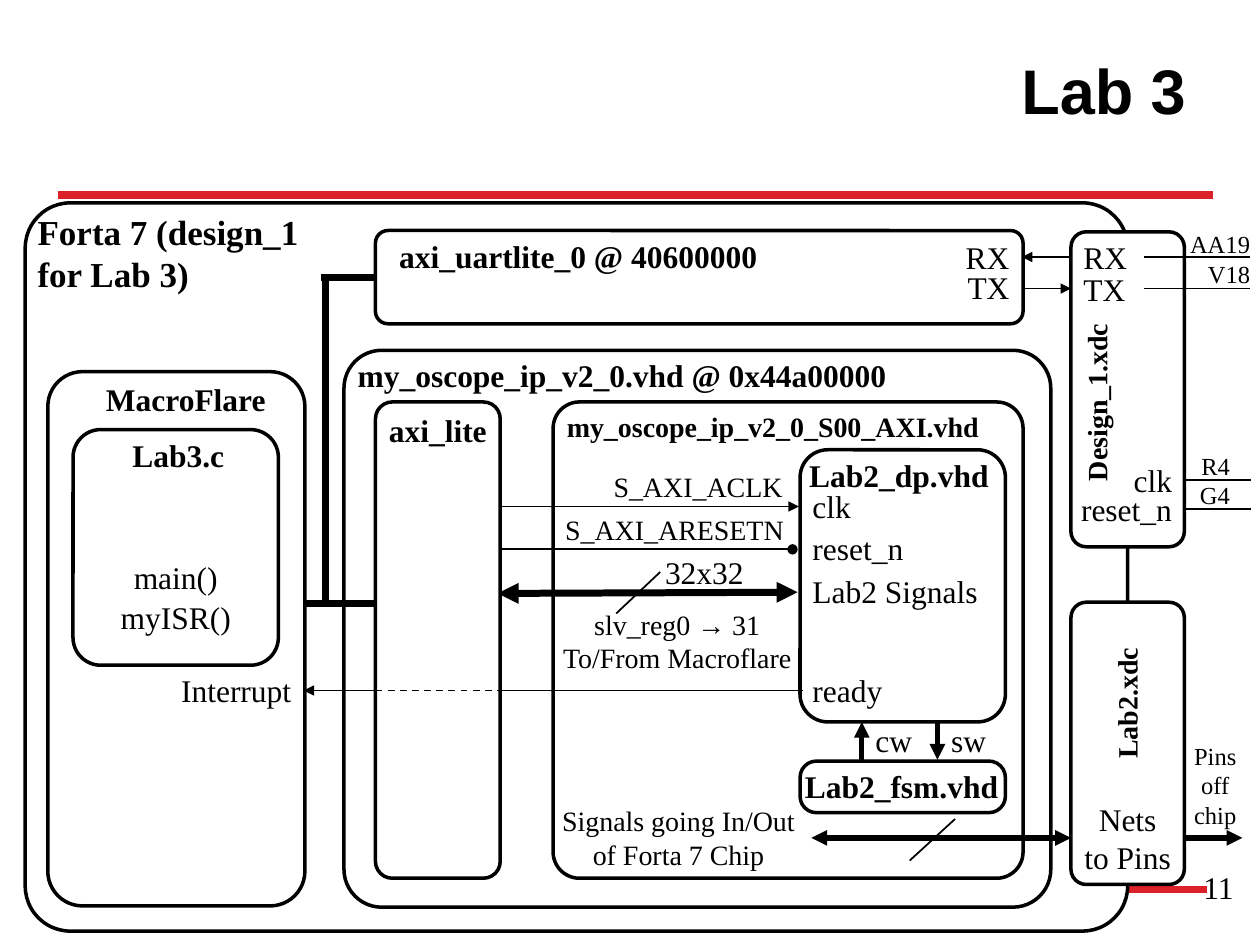
from lxml import etree
from pptx import Presentation
from pptx.dml.color import RGBColor
from pptx.enum import dml, shapes, text
from pptx.oxml.ns import qn
from pptx.util import Inches, Pt

BLACK, WHITE, RED = "000000", "FFFFFF", "DD212B"
SERIF = "Times New Roman"
ALIGN = {"l": text.PP_ALIGN.LEFT, "c": text.PP_ALIGN.CENTER, "r": text.PP_ALIGN.RIGHT}


def color(value):
    return RGBColor.from_string(value)


class Region:
    def __init__(self, slide, x, y, w, h):
        self.shapes = slide.shapes
        self.x, self.y, self.w, self.h = x, y, w, h

    def frame(self, radius=0.135, fill=None):
        sp = self.shapes.add_shape(
            shapes.MSO_SHAPE.ROUNDED_RECTANGLE,
            Inches(self.x), Inches(self.y), Inches(self.w), Inches(self.h))
        sp.shadow.inherit = False
        sp.adjustments[0] = radius
        if fill:
            sp.fill.solid()
            sp.fill.fore_color.rgb = color(fill)
        else:
            sp.fill.background()
        sp.line.color.rgb = color(BLACK)
        sp.line.width = Pt(2)

    def label(self, lines, x, y, w, size=18, align="l", bold=False,
              rows=None, font=SERIF, turn=0):
        lines = lines if isinstance(lines, list) else [lines]
        h = 0.1 + (rows or len(lines)) * size * 1.2 / 72
        sp = self.shapes.add_textbox(
            Inches(self.x + x), Inches(self.y + y), Inches(w), Inches(h))
        sp.rotation = turn
        tf = sp.text_frame
        tf.word_wrap = True
        for i, line in enumerate(lines):
            p = tf.add_paragraph() if i else tf.paragraphs[0]
            p.alignment = ALIGN[align]
            r = p.add_run()
            r.text = line
            r.font.name = font
            r.font.size = Pt(size)
            r.font.bold = bold
            r.font.color.rgb = color(BLACK)

    def line(self, x1, y1, x2, y2, width=1, head=None, tail=None, ink=BLACK, dash=False):
        sp = self.shapes.add_connector(
            shapes.MSO_CONNECTOR.STRAIGHT,
            Inches(self.x + x1), Inches(self.y + y1),
            Inches(self.x + x2), Inches(self.y + y2))
        sp.line.color.rgb = color(ink)
        sp.line.width = Pt(width)
        if dash:
            sp.line.dash_style = dml.MSO_LINE.DASH
        ln = sp.line._get_or_add_ln()
        for tag, kind in (("a:headEnd", head), ("a:tailEnd", tail)):
            if kind:
                etree.SubElement(ln, qn(tag), type=kind)
        etree.SubElement(sp._element.spPr, qn("a:effectLst"))


def add_page(slide, *box):
    page = Region(slide, *box)
    page.line(0.42, 7.06, 9.58, 7.06, 4.5, ink=RED)
    page.line(0.46, 1.55, 9.63, 1.55, 4.5, ink=RED)
    page.label("Lab 3", 2.09, 0.36, 7.42, 36, "r", True, font="Arial")
    page.label("11", 7.56, 6.84, 2.33, align="r")


def add_chip(slide, *box):
    chip = Region(slide, *box)
    chip.frame(0.062, WHITE)
    chip.label("Forta 7 (design_1 for Lab 3)", 0, 0.01, 2.63, 20, bold=True, rows=2)


def add_uart(slide, *box):
    uart = Region(slide, *box)
    uart.frame()
    uart.label("axi_uartlite_0 @ 40600000", 0.09, 0, 3.56, bold=True)
    for name, y in (("RX", 0.01), ("TX", 0.25)):
        uart.label(name, uart.w - 0.59, y, 0.58, align="r")


def add_processor(slide, *box):
    cpu = Region(slide, *box)
    cpu.frame()
    cpu.label("MacroFlare", 0.26, 0.02, 1.67, align="c", bold=True)
    cpu.label("Interrupt", 0.94, 2.33, 1.09, align="r")
    program = Region(slide, cpu.x + 0.2, cpu.y + 0.46, 1.63, 1.87)
    program.frame()
    program.label("Lab3.c", 0, 0, 1.67, align="c", bold=True)
    for name, y in (("main()", 0.97), ("myISR()", 1.29)):
        program.label(name, 0.27, y, 1.09, align="c")


def add_oscope(slide, *box):
    ip = Region(slide, *box)
    ip.frame(0.068)
    ip.label("my_oscope_ip_v2_0.vhd @ 0x44a00000", 0.01, 0, 5.99, bold=True)


def add_axi_slave(slide, *box):
    axi = Region(slide, *box)
    axi.frame(0.056)
    axi.label("my_oscope_ip_v2_0_S00_AXI.vhd", 0.01, 0.01, 4.02, 16, bold=True)
    axi.line(-0.42, 0.83, 1.95, 0.83, tail="triangle")
    axi.label("S_AXI_ACLK", 0.35, 0.49, 1.57, 16, "r")
    axi.line(-0.42, 1.17, 1.9, 1.17, tail="oval")
    axi.label("S_AXI_ARESETN", -0.21, 0.83, 2.14, 16, "r")
    axi.line(-0.44, 1.52, 1.94, 1.51, 4, "triangle", "triangle")
    axi.line(0.5, 1.68, 0.85, 1.35)
    axi.label("32x32", 0.79, 1.15, 0.87)
    axi.label(["slv_reg0 → 31", "To/From Macroflare"], -0.07, 1.58, 2.11, 16, "c")
    axi.line(-1.98, 2.29, 1.98, 2.29, head="triangle")
    axi.label("Signals going In/Out of Forta 7 Chip", -0.06, 3.14, 2.11, 16, "c", rows=2)
    axi.line(2.05, 3.46, 4.11, 3.46, 3, "triangle", "triangle")
    axi.line(2.83, 3.64, 3.19, 3.31)


def add_datapath(slide, *box):
    dp = Region(slide, *box)
    dp.frame()
    dp.label("Lab2_dp.vhd", -0.03, 0, 1.63, align="c", bold=True)
    for name, y in (("clk", 0.25), ("reset_n", 0.58), ("Lab2 Signals", 0.92), ("ready", 1.71)):
        dp.label(name, 0, y, 1.6)
    for name, x, ends in (("cw", 0.49, {"tail": "triangle"}), ("sw", 1.09, {"head": "triangle"})):
        dp.line(x, dp.h + 0.3, x, dp.h, 3, **ends)
        dp.label(name, x + 0.01, dp.h - 0.06, 0.53)


def add_state_machine(slide, *box):
    fsm = Region(slide, *box)
    fsm.frame(0.319)
    fsm.label("Lab2_fsm.vhd", -0.14, 0, 1.89, align="c", bold=True)


def add_bus(slide, *box):
    bus = Region(slide, *box)
    bus.line(0.15, bus.h, 0.15, 0, 4)
    bus.line(0.12, 0, bus.w, 0, 4)
    bus.line(0, bus.h, bus.w, bus.h, 4)


def add_axi_lite(slide, *box):
    lite = Region(slide, *box)
    lite.frame(fill=WHITE)
    lite.label("axi_lite", 0, 0.02, lite.w, align="c", bold=True)
    lite.line(0, 2.29, lite.w, 2.29, dash=True)


def add_design_pins(slide, *box):
    pins = Region(slide, *box)
    pins.frame(fill=WHITE)
    pins.label("Design_1.xdc", -0.54, 1.17, 1.48, 16, "c", True, turn=270)
    for name, y, ends in (("RX", 0.2, {"head": "triangle"}), ("TX", 0.45, {"tail": "triangle"})):
        pins.line(-0.39, y, 0, y, **ends)
        pins.label(name, 0, y - 0.2, 0.58)
        pins.line(0.58, y, 1.42, y)
    for name, y in (("clk", 1.77), ("reset_n", 2)):
        pins.label(name, -0.09, y, 0.99, align="r")
        pins.line(pins.w, y + 0.2, 1.43, y + 0.2)
    pins.label(["AA19", "V18"], 0.71, -0.07, 0.81, 14, "r")
    pins.label(["R4", "G4"], 0.55, 1.69, 0.81, 14, "r")


def add_lab_pins(slide, *box):
    pins = Region(slide, *box)
    pins.frame(fill=WHITE)
    pins.label("Lab2.xdc", -0.12, 0.62, 1.12, 16, "c", True, turn=270)
    pins.label("Nets to Pins", 0, 1.52, pins.w, align="c", rows=2)
    pins.line(pins.w, 1.87, 1.36, 1.87, 3, tail="triangle")
    pins.label(["Pins off", "chip"], 0.83, 1.05, 0.63, 14, "c", rows=3)


def main():
    prs = Presentation()
    prs.slide_width, prs.slide_height = Inches(10), Inches(7.5)
    s = prs.slides.add_slide(prs.slide_layouts[6])
    add_page(s, 0, 0, 10, 7.5)
    add_chip(s, 0.2, 1.61, 8.75, 5.78)
    add_uart(s, 2.98, 1.83, 5.14, 0.74)
    add_processor(s, 0.38, 2.95, 2.04, 4.24)
    add_oscope(s, 2.73, 2.78, 5.61, 4.42)
    add_axi_slave(s, 4.39, 3.19, 3.73, 3.78)
    add_datapath(s, 6.35, 3.57, 1.63, 2.16)
    add_state_machine(s, 6.35, 6.04, 1.63, 0.41)
    add_bus(s, 2.43, 2.2, 0.55, 2.59)
    add_axi_lite(s, 2.98, 3.19, 0.99, 3.78)
    add_design_pins(s, 8.5, 1.84, 0.9, 2.5)
    add_lab_pins(s, 8.5, 4.78, 0.9, 2.24)
    prs.save("out.pptx")


if __name__ == "__main__":
    main()
